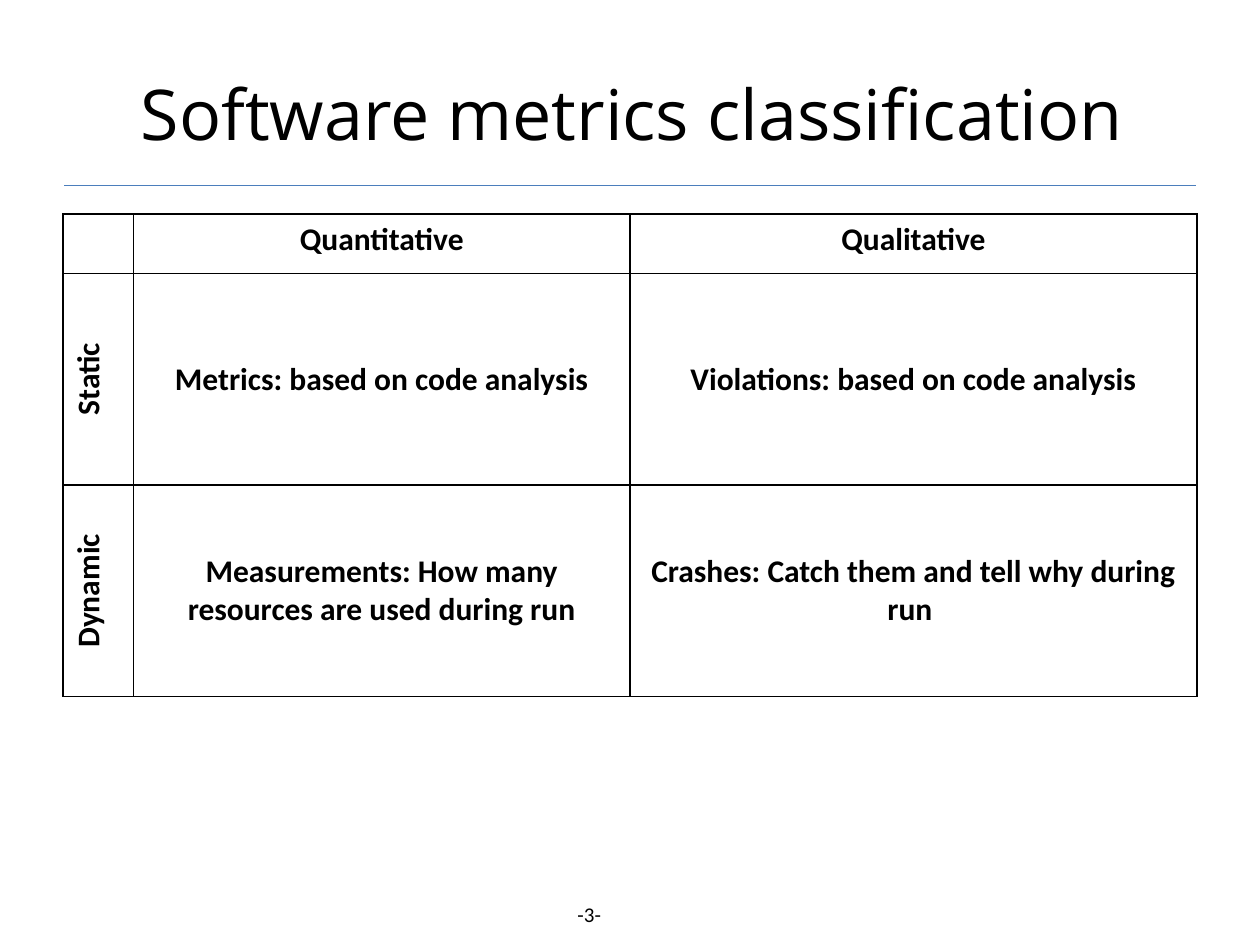
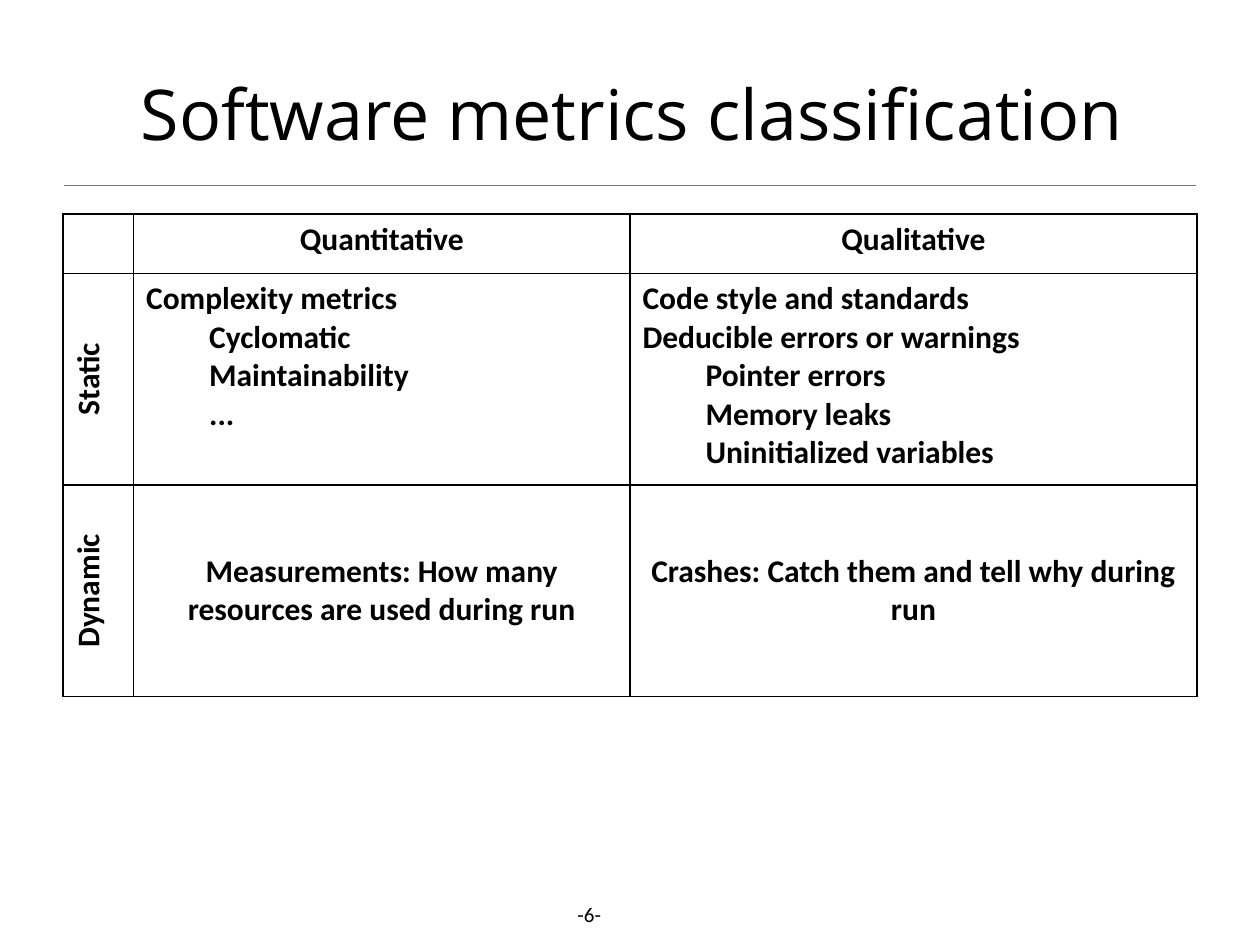
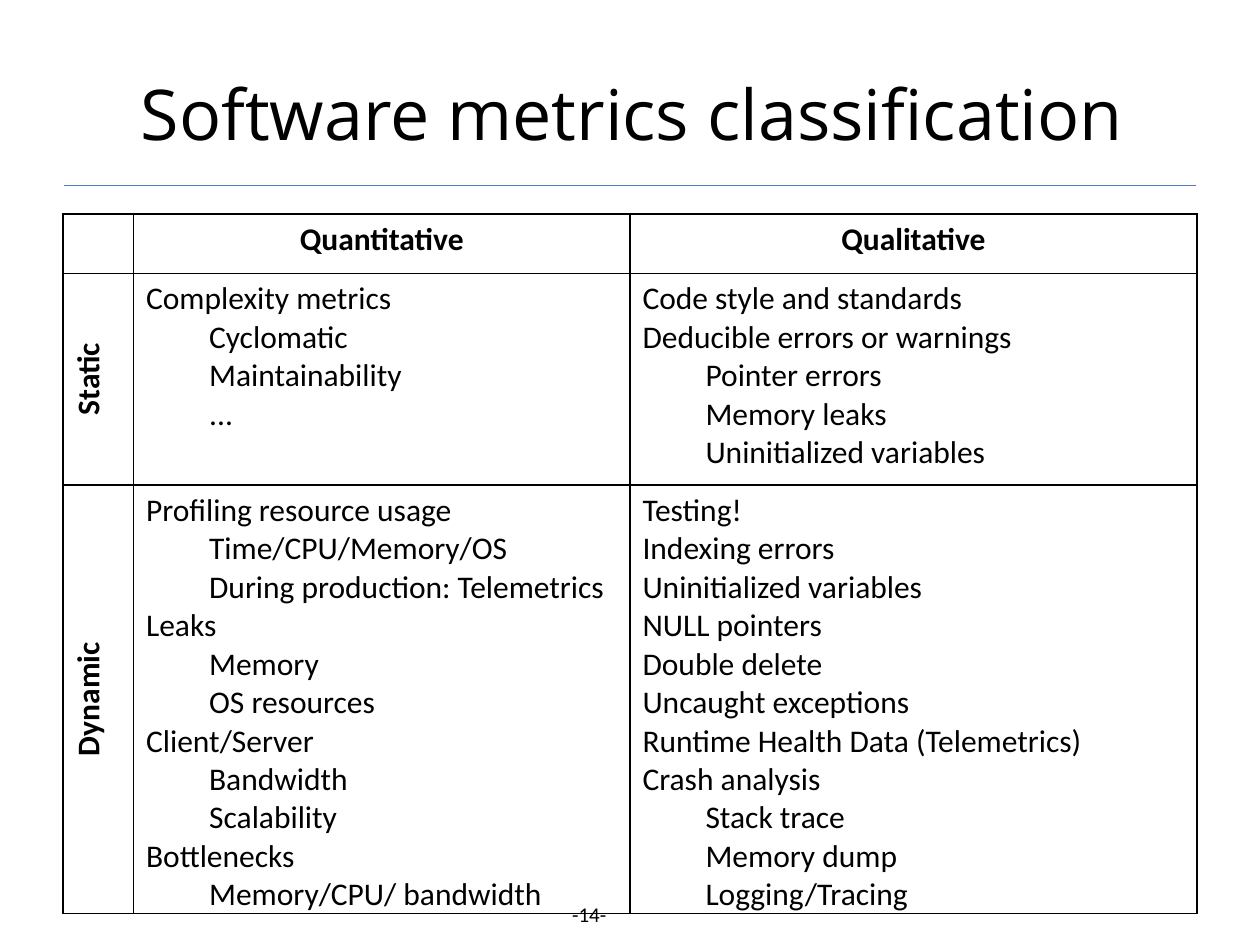
from lxml import etree
from pptx import Presentation
from pptx.dml.color import RGBColor
from pptx.enum.shapes import MSO_CONNECTOR
from pptx.enum.text import MSO_ANCHOR, PP_ALIGN
from pptx.oxml.ns import qn
from pptx.util import Inches, Pt

LINE = MSO_CONNECTOR.STRAIGHT
CENTER, LEFT = PP_ALIGN.CENTER, PP_ALIGN.LEFT
TOP, MIDDLE = MSO_ANCHOR.TOP, MSO_ANCHOR.MIDDLE
TITLE_ONLY = 5

COLORS = {"text": "000000", "rule": "4B7EBC", "border": "000000"}
TITLE_FONT, BODY_FONT = "Open Sans", "Calibri"

# Boxes: left, top, width, height
TITLE_BOX = (0.98, 0.27, 8.07, 1.25)
RULE_BOX = (0.51, 1.47, 8.98, 0)
NUMBER_BOX = (4.42, 7.11, 0.55, 0.5)
COL_WIDTHS = (0.56, 3.94, 4.5)
HEADER_HEIGHT, ROW_HEIGHT, TALL_ROW_HEIGHT = 0.47, 1.68, 3.4
TABLE_LEFT, TABLE_TOP = 0.5, 1.7

TITLE = "Software metrics classification"
COLUMNS = ("Quantitative", "Qualitative")

# A string is a centred statement; a dict maps items to their sub-items
STATIC_SUMMARY = ("Metrics: based on code analysis",
                  "Violations: based on code analysis")
MEASUREMENTS = "Measurements: How many resources are used during run"
CRASHES = "Crashes: Catch them and tell why during run"
STATIC_DETAILS = (
    {"Complexity metrics": ["Cyclomatic", "Maintainability", "..."]},
    {"Code style and standards": [],
     "Deducible errors or warnings": ["Pointer errors", "Memory leaks",
                                      "Uninitialized variables"]},
)
DYNAMIC_DETAILS = (
    {"Profiling resource usage": ["Time/CPU/Memory/OS",
                                  "During production: Telemetrics"],
     "Leaks": ["Memory", "OS resources"],
     "Client/Server": ["Bandwidth", "Scalability"],
     "Bottlenecks": ["Memory/CPU/ bandwidth"]},
    {"Testing!": [], "Indexing errors": [], "Uninitialized variables": [],
     "NULL pointers": [], "Double delete": [], "Uncaught exceptions": [],
     "Runtime Health Data (Telemetrics)": [],
     "Crash analysis": ["Stack trace", "Memory dump", "Logging/Tracing"]},
)


def color(name):
    return RGBColor.from_string(COLORS[name])


def inches(box):
    return [Inches(v) for v in box]


def format_paragraph(p, font, size, align, bold=False):
    p.alignment = align
    p.font.name = font
    p.font.size = Pt(size)
    p.font.bold = bold
    p.font.color.rgb = color("text")


def add_title(slide, box):
    sp = slide.shapes.title
    sp.left, sp.top, sp.width, sp.height = inches(box)
    tf = sp.text_frame
    tf.text = TITLE
    tf.vertical_anchor = MIDDLE
    format_paragraph(tf.paragraphs[0], TITLE_FONT, 40, CENTER)


def add_rule(slide, box):
    x, y, w, h = inches(box)
    line = slide.shapes.add_connector(LINE, x, y, x + w, y + h)
    line.line.color.rgb = color("rule")
    line.line.width = Pt(0.75)
    etree.SubElement(line._element.spPr, qn("a:effectLst"))


def add_page_number(slide, box, number):
    tf = slide.shapes.add_textbox(*inches(box)).text_frame
    tf.word_wrap = True
    tf.text = f"-{number}- "
    format_paragraph(tf.paragraphs[0], BODY_FONT, 12, CENTER)


def set_borders(cell):
    """Draw all four edges of a cell; they come first in its properties."""
    tc_pr = cell._tc.get_or_add_tcPr()
    for i, edge in enumerate(("a:lnL", "a:lnR", "a:lnT", "a:lnB")):
        ln = etree.Element(qn(edge), w=str(Pt(1)))
        fill = etree.SubElement(ln, qn("a:solidFill"))
        etree.SubElement(fill, qn("a:srgbClr"), val=COLORS["border"])
        tc_pr.insert(i, ln)


def fill_cell(cell, content, bold=True, anchor=TOP):
    """Write a centred statement or a two-level list."""
    if isinstance(content, str):
        lines, align = [(0, content)], CENTER
    else:
        lines, align = [], LEFT
        for item, subitems in content.items():
            lines += [(0, item)] + [(1, sub) for sub in subitems]
    tf = cell.text_frame
    for i, (level, text) in enumerate(lines):
        p = tf.add_paragraph() if i else tf.paragraphs[0]
        p.text = text
        p.level = level
        format_paragraph(p, BODY_FONT, 18, align, bold)
        if level:
            p_pr = p._p.get_or_add_pPr()
            p_pr.set("marL", str(Inches(0.5)))
            p_pr.set("indent", "0")
    cell.vertical_anchor = anchor


def add_matrix(slide, left, top, static, dynamic, bold, last_height):
    heights = (HEADER_HEIGHT, ROW_HEIGHT, last_height)
    box = (left, top, sum(COL_WIDTHS), sum(heights))
    table = slide.shapes.add_table(3, 3, *inches(box)).table
    table.first_row = table.horz_banding = False
    for col, width in zip(table.columns, COL_WIDTHS):
        col.width = Inches(width)
    for row, height in zip(table.rows, heights):
        row.height = Inches(height)
    for cell in table.iter_cells():
        cell.fill.background()
        set_borders(cell)

    # Header row
    fill_cell(table.cell(0, 0), "")
    for c, heading in enumerate(COLUMNS, 1):
        fill_cell(table.cell(0, c), heading)

    # Rotated row label, then the contents
    for r, (label, contents) in enumerate(
            (("Static", static), ("Dynamic", dynamic)), 1):
        head = table.cell(r, 0)
        fill_cell(head, label)
        head._tc.get_or_add_tcPr().set("vert", "vert270")
        for c, content in enumerate(contents, 1):
            anchor = MIDDLE if isinstance(content, str) else TOP
            fill_cell(table.cell(r, c), content, bold, anchor)


def add_matrix_slide(prs, number, static, dynamic, bold=True,
                     last_height=ROW_HEIGHT):
    slide = prs.slides.add_slide(prs.slide_layouts[TITLE_ONLY])
    add_rule(slide, RULE_BOX)
    add_page_number(slide, NUMBER_BOX, number)
    add_title(slide, TITLE_BOX)
    add_matrix(slide, TABLE_LEFT, TABLE_TOP, static, dynamic, bold, last_height)


prs = Presentation()
prs.slide_width, prs.slide_height = Inches(10), Inches(7.5)
add_matrix_slide(prs, 3, STATIC_SUMMARY, (MEASUREMENTS, CRASHES + " "))
add_matrix_slide(prs, 6, STATIC_DETAILS, (MEASUREMENTS, CRASHES))
add_matrix_slide(prs, 14, STATIC_DETAILS, DYNAMIC_DETAILS, bold=False,
                 last_height=TALL_ROW_HEIGHT)
prs.save("out.pptx")
